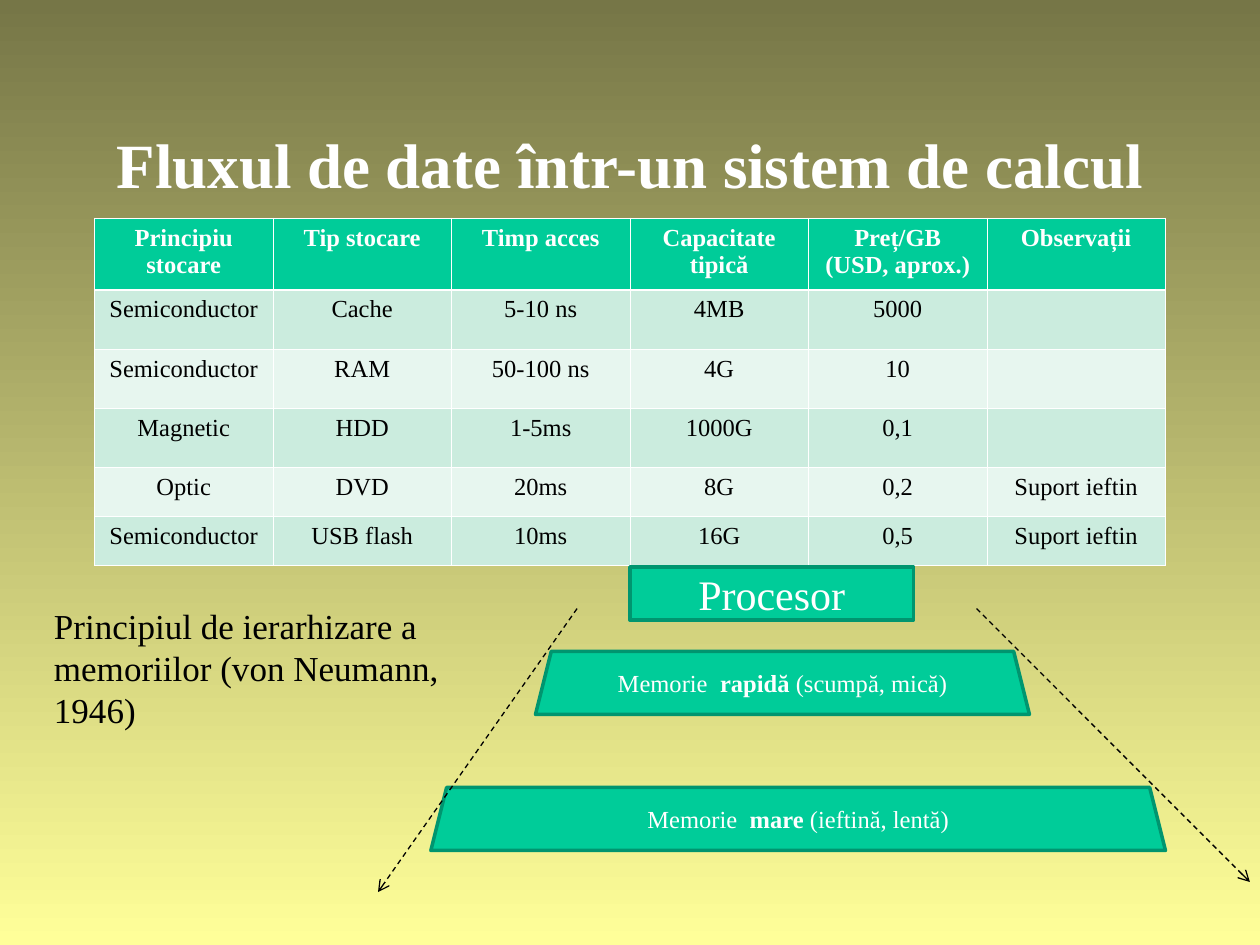
from lxml.etree import SubElement
from pptx import Presentation
from pptx.dml.color import RGBColor
from pptx.enum.dml import MSO_LINE_DASH_STYLE as Dash
from pptx.enum.shapes import MSO_CONNECTOR_TYPE as Connector, MSO_SHAPE as Shape
from pptx.enum.text import MSO_ANCHOR as Anchor, PP_ALIGN as Align
from pptx.oxml.ns import qn
from pptx.util import Inches, Pt

FONT = "Times New Roman"
WHITE, BLACK = "FFFFFF", "000000"
GREEN, DARK_GREEN = "00CC99", "00956F"
BANDS = ("CBECDE", "E7F6EF")

COLUMN_WIDTH = 8.5 / 6
ROW_HEIGHTS = (0.57, 0.47, 0.47, 0.47, 0.39, 0.39)
STORAGE = (
    ("Principiu stocare", "Tip stocare", "Timp acces", "Capacitate tipică",
     "Preț/GB (USD, aprox.)", "Observații"),
    ("Semiconductor", "Cache", "5-10 ns", "4MB", "5000", ""),
    ("Semiconductor", "RAM", "50-100 ns", "4G", "10", ""),
    ("Magnetic", "HDD", "1-5ms", "1000G", "0,1", ""),
    ("Optic", "DVD", "20ms", "8G", "0,2", "Suport ieftin"),
    ("Semiconductor", "USB flash", "10ms", "16G", "0,5", "Suport ieftin"),
)


def color(hex_code):
    return RGBColor.from_string(hex_code)


def write(frame, paragraphs, size, hex_code, align=Align.CENTER, anchor=Anchor.MIDDLE):
    """Fill a text frame with paragraphs, each a list of (text, bold) runs."""
    frame.word_wrap = True
    frame.vertical_anchor = anchor
    for index, runs in enumerate(paragraphs):
        para = frame.add_paragraph() if index else frame.paragraphs[0]
        para.alignment = align
        para.font.size = Pt(size)
        for text, bold in runs:
            span = para.add_run()
            span.text = text
            span.font.name = FONT
            span.font.size = Pt(size)
            span.font.bold = bold
            span.font.color.rgb = color(hex_code)


def add_text(page, left, top, width, height, *args, **options):
    box = page.shapes.add_textbox(*map(Inches, (left, top, width, height)))
    write(box.text_frame, *args, **options)


def paint_background(page):
    fill = page.background.fill
    fill.gradient()
    fill.gradient_angle = 270
    for stop, hex_code in zip(fill.gradient_stops, ("767647", "FFFF99")):
        stop.color.rgb = color(hex_code)


def add_border(cell, side, width):
    line = SubElement(cell._tc.get_or_add_tcPr(), qn(f"a:{side}"), w=str(Pt(width)))
    SubElement(SubElement(line, qn("a:solidFill")), qn("a:srgbClr"), val=WHITE)


def add_storage_table(page):
    table = page.shapes.add_table(
        len(STORAGE), len(STORAGE[0]), Inches(0.75), Inches(1.73),
        Inches(8.5), Inches(sum(ROW_HEIGHTS))).table
    table.first_row = table.horz_banding = False
    for column in table.columns:
        column.width = Inches(COLUMN_WIDTH)
    for r, (values, height) in enumerate(zip(STORAGE, ROW_HEIGHTS)):
        header = r == 0
        table.rows[r].height = Inches(height)
        for c, value in enumerate(values):
            cell = table.cell(r, c)
            add_border(cell, "lnL", 0.45)
            add_border(cell, "lnR", 0.45)
            add_border(cell, "lnT", 1.47 if r == 1 else 0.45)
            add_border(cell, "lnB", 1.47 if header else 0.45)
            cell.fill.solid()
            cell.fill.fore_color.rgb = color(GREEN if header else BANDS[(r - 1) % 2])
            runs = [(value, header)] if value else []
            write(cell.text_frame, [runs], 14, WHITE if header else BLACK,
                  anchor=Anchor.TOP)


def style_block(block, runs, size):
    block.shadow.inherit = False
    block.fill.solid()
    block.fill.fore_color.rgb = color(GREEN)
    block.line.color.rgb = color(DARK_GREEN)
    block.line.width = Pt(2)
    write(block.text_frame, [runs], size, WHITE)


def add_memory_level(page, left, top, width, runs):
    height, slant = 0.5, 0.125
    right, bottom = left + width, top + height
    outline = page.shapes.build_freeform(Inches(left), Inches(bottom))
    corners = ((left + slant, top), (right - slant, top), (right, bottom))
    outline.add_line_segments([(Inches(x), Inches(y)) for x, y in corners], close=True)
    style_block(outline.convert_to_shape(), runs, 14)


def add_processor(page):
    block = page.shapes.add_shape(
        Shape.FLOWCHART_PROCESS, Inches(5), Inches(4.5), Inches(2.25), Inches(0.42))
    style_block(block, [("Procesor", False)], 24)


def add_dashed_arrow(page, *ends):
    arrow = page.shapes.add_connector(Connector.STRAIGHT, *map(Inches, ends))
    arrow.line.color.rgb = color(BLACK)
    arrow.line.width = Pt(0.75)
    arrow.line.dash_style = Dash.DASH
    SubElement(arrow.line._get_or_add_ln(), qn("a:tailEnd"), type="arrow")
    SubElement(arrow._element.spPr, qn("a:effectLst"))


def main():
    deck = Presentation()
    deck.slide_width, deck.slide_height = Inches(10), Inches(7.5)
    page = deck.slides.add_slide(deck.slide_layouts[6])
    paint_background(page)

    # Title and storage comparison
    add_text(page, 0.75, 0.67, 8.5, 1.25,
             [[("Fluxul de date într-un sistem de calcul", True)]], 36, WHITE)
    add_storage_table(page)

    # Memory hierarchy
    add_memory_level(page, 4.25, 5.17, 3.92, [
        ("Memorie  ", False), ("rapidă", True), (" (scumpă, mică)", False)])
    add_memory_level(page, 3.42, 6.25, 5.83, [
        ("Memorie  ", False), ("mare ", True), ("(ieftină, lentă)", False)])
    add_dashed_arrow(page, 4.58, 4.83, 3, 7.08)
    add_dashed_arrow(page, 7.75, 4.83, 9.92, 7)
    add_processor(page)

    # Principle behind the hierarchy
    add_text(page, 0.33, 4.75, 3.25, 1.1,
             [[("Principiul de ierarhizare a", False)],
              [("memoriilor (von Neumann, 1946)", False)]],
             20, BLACK, align=Align.LEFT, anchor=Anchor.TOP)

    deck.save("out.pptx")


if __name__ == "__main__":
    main()
